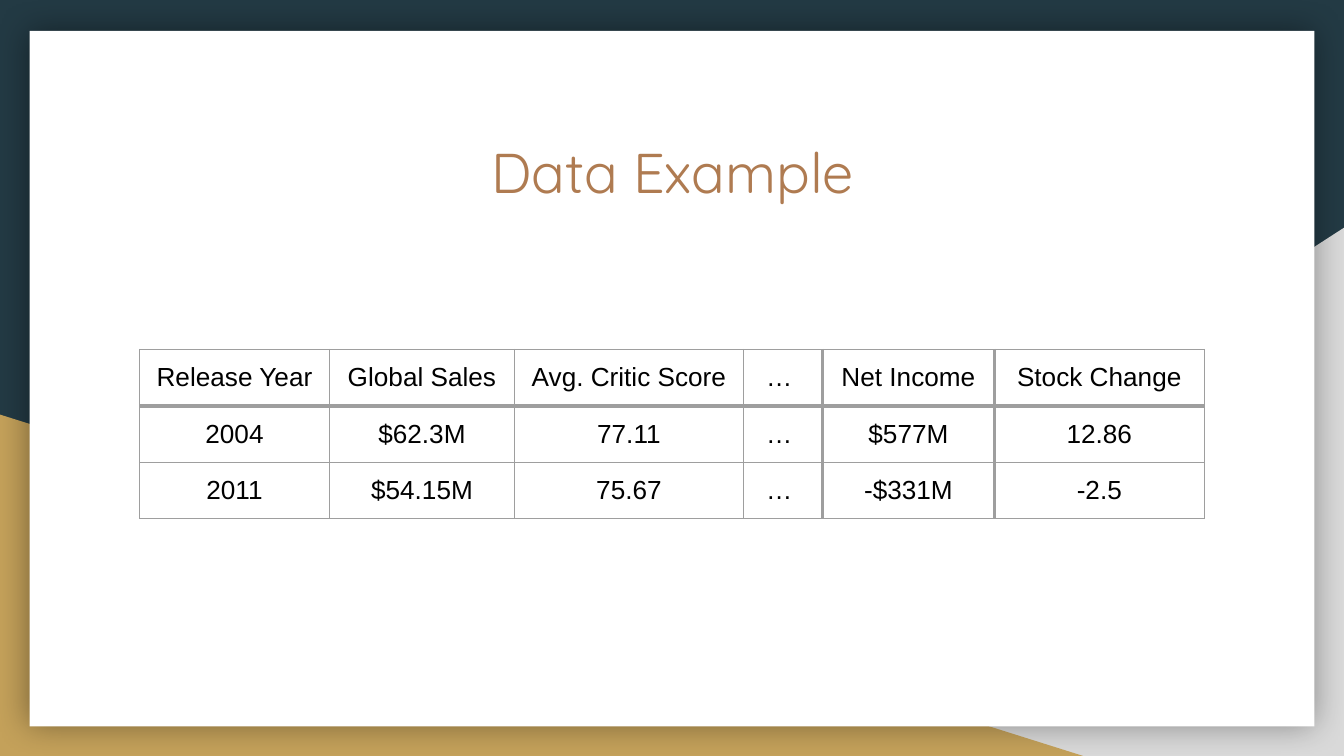
from lxml import etree
from pptx import Presentation
from pptx import util as u
from pptx.dml.color import RGBColor
from pptx.enum import shapes, text
from pptx.oxml.ns import qn

NAVY = RGBColor(0x23, 0x3A, 0x44)
GREY = RGBColor(0xD9, 0xD9, 0xD9)
GOLD = RGBColor(0xC4, 0xA1, 0x5A)
WHITE = RGBColor(0xFF, 0xFF, 0xFF)
COPPER = RGBColor(0xAF, 0x7B, 0x51)
BLACK = RGBColor(0, 0, 0)
BORDER = RGBColor(0x9E, 0x9E, 0x9E)

PAGE_WIDTH = 10
PAGE_HEIGHT = PAGE_WIDTH * 9 / 16
THIN, THICK = 0.75, 2.25
COLUMN_WIDTHS = [1.41, 1.38, 1.7, 0.59, 1.28, 1.56]
ROW_HEIGHT = 0.42
ROWS = [
    ["Release Year", "Global Sales", "Avg. Critic Score", "… ", "Net Income", "Stock Change"],
    ["2004", "$62.3M", "77.11", "… ", "$577M", "12.86"],
    ["2011", "$54.15M", "75.67", "… ", "-$331M", "-2.5"],
]
ROW_RULES = [THIN, THICK, THIN, THIN]
COLUMN_RULES = [THIN, THIN, THIN, THIN, THICK, THICK, THIN]


def write(frame, words, *, size, font, color, align=text.PP_ALIGN.CENTER):
    """Put one formatted paragraph into a text frame."""
    para = frame.paragraphs[0]
    para.alignment = align
    span = para.add_run()
    span.text = words
    span.font.size = u.Pt(size)
    span.font.name = font
    span.font.color.rgb = color


def add_block(page, kind, box, color):
    """Add a plain filled shape without an outline or shadow."""
    block = page.shapes.add_shape(kind, *map(u.Inches, box))
    block.shadow.inherit = False
    block.fill.solid()
    block.fill.fore_color.rgb = color
    block.line.fill.background()
    return block


def add_glow(block, blur, opacity):
    """Give a shape a soft black shadow on all sides."""
    effects = block._element.spPr.find(qn("a:effectLst"))
    shadow = etree.SubElement(effects, qn("a:outerShdw"), blurRad=str(u.Pt(blur)),
                              dist="0", dir="0", algn="ctr", rotWithShape="0")
    tint = etree.SubElement(shadow, qn("a:srgbClr"), val=str(BLACK))
    etree.SubElement(tint, qn("a:alpha"), val=str(opacity * 1000))


def add_backdrop(page, box):
    """Draw the corner triangles and the white card inside the box."""
    left, top, width, height = box
    bottom = top + height
    triangle = shapes.MSO_SHAPE.RIGHT_TRIANGLE
    page.background.fill.solid()
    page.background.fill.fore_color.rgb = NAVY
    corner = add_block(page, triangle, (left + width - 6.08, bottom - 3.93, 6.08, 3.93), GREY)
    corner._element.spPr.xfrm.set("flipH", "1")
    add_block(page, triangle, (left, bottom - 2.54, 8.06, 2.54), GOLD)
    card = add_block(page, shapes.MSO_SHAPE.RECTANGLE,
                     (left + 0.22, top + 0.23, width - 0.44, height - 0.45), WHITE)
    add_glow(card, blur=18, opacity=40)


def add_title(page, box, words):
    """Place the title placeholder in the box, in front of the backdrop."""
    title = page.shapes.title
    title.left, title.top, title.width, title.height = map(u.Inches, box)
    frame = title.text_frame
    frame.word_wrap = True
    frame.auto_size = text.MSO_AUTO_SIZE.NONE
    frame.vertical_anchor = text.MSO_ANCHOR.TOP
    frame.margin_left = frame.margin_right = u.Inches(0.1)
    frame.margin_top = frame.margin_bottom = u.Inches(0.1)
    write(frame, words, size=30, font="Quicksand", color=COPPER)
    page.shapes._spTree.append(title._element)


def set_borders(cell, widths):
    """Draw the left, right, top and bottom borders of a cell."""
    props = cell._tc.get_or_add_tcPr()
    for place, (side, width) in enumerate(zip(("lnL", "lnR", "lnT", "lnB"), widths)):
        line = etree.Element(qn(f"a:{side}"), w=str(u.Pt(width)))
        fill = etree.SubElement(line, qn("a:solidFill"))
        etree.SubElement(fill, qn("a:srgbClr"), val=str(BORDER))
        props.insert(place, line)


def add_data_table(page, left, top):
    """Add the sample table with its top left corner at the given point."""
    size = (sum(COLUMN_WIDTHS), ROW_HEIGHT * len(ROWS))
    table = page.shapes.add_table(len(ROWS), len(COLUMN_WIDTHS),
                                  *map(u.Inches, (left, top, *size))).table
    table.first_row = table.horz_banding = False
    for column, width in zip(table.columns, COLUMN_WIDTHS):
        column.width = u.Inches(width)
    for r, values in enumerate(ROWS):
        table.rows[r].height = u.Inches(ROW_HEIGHT)
        for c, value in enumerate(values):
            cell = table.cell(r, c)
            cell.fill.background()
            cell.margin_left = cell.margin_right = u.Inches(0.1)
            cell.margin_top = cell.margin_bottom = u.Inches(0.1)
            write(cell.text_frame, value, size=14, font="Arial", color=BLACK)
            set_borders(cell, COLUMN_RULES[c:c + 2] + ROW_RULES[r:r + 2])


def main():
    """Build and save the deck."""
    deck = Presentation()
    deck.slide_width, deck.slide_height = u.Inches(PAGE_WIDTH), u.Inches(PAGE_HEIGHT)
    page = deck.slides.add_slide(deck.slide_layouts[5])
    add_backdrop(page, (0, 0, PAGE_WIDTH, PAGE_HEIGHT))
    add_title(page, (0.9, 0.92, 8.21, 1.04), "Data Example")
    add_data_table(page, 1.04, 2.6)
    deck.save("out.pptx")


if __name__ == "__main__":
    main()
